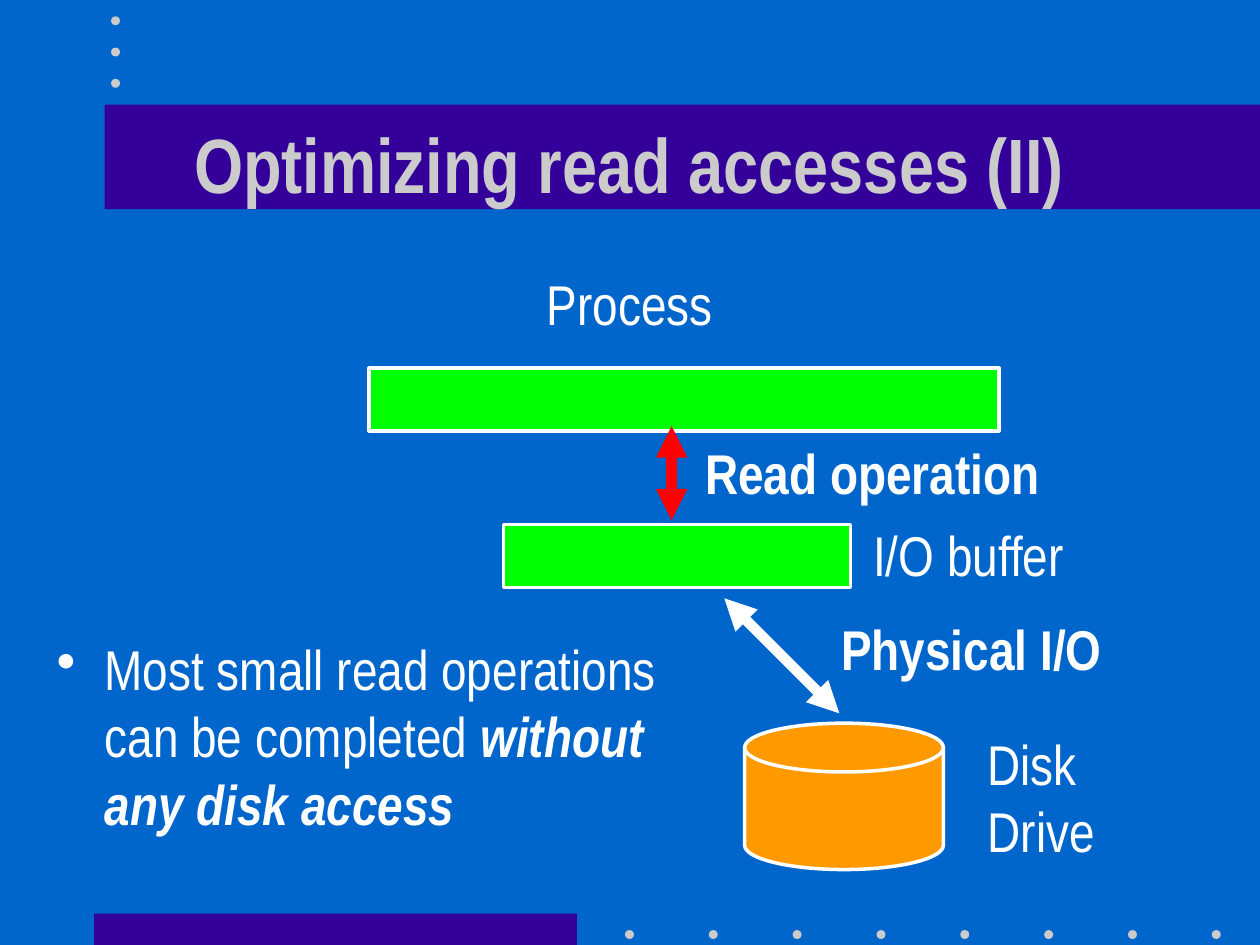
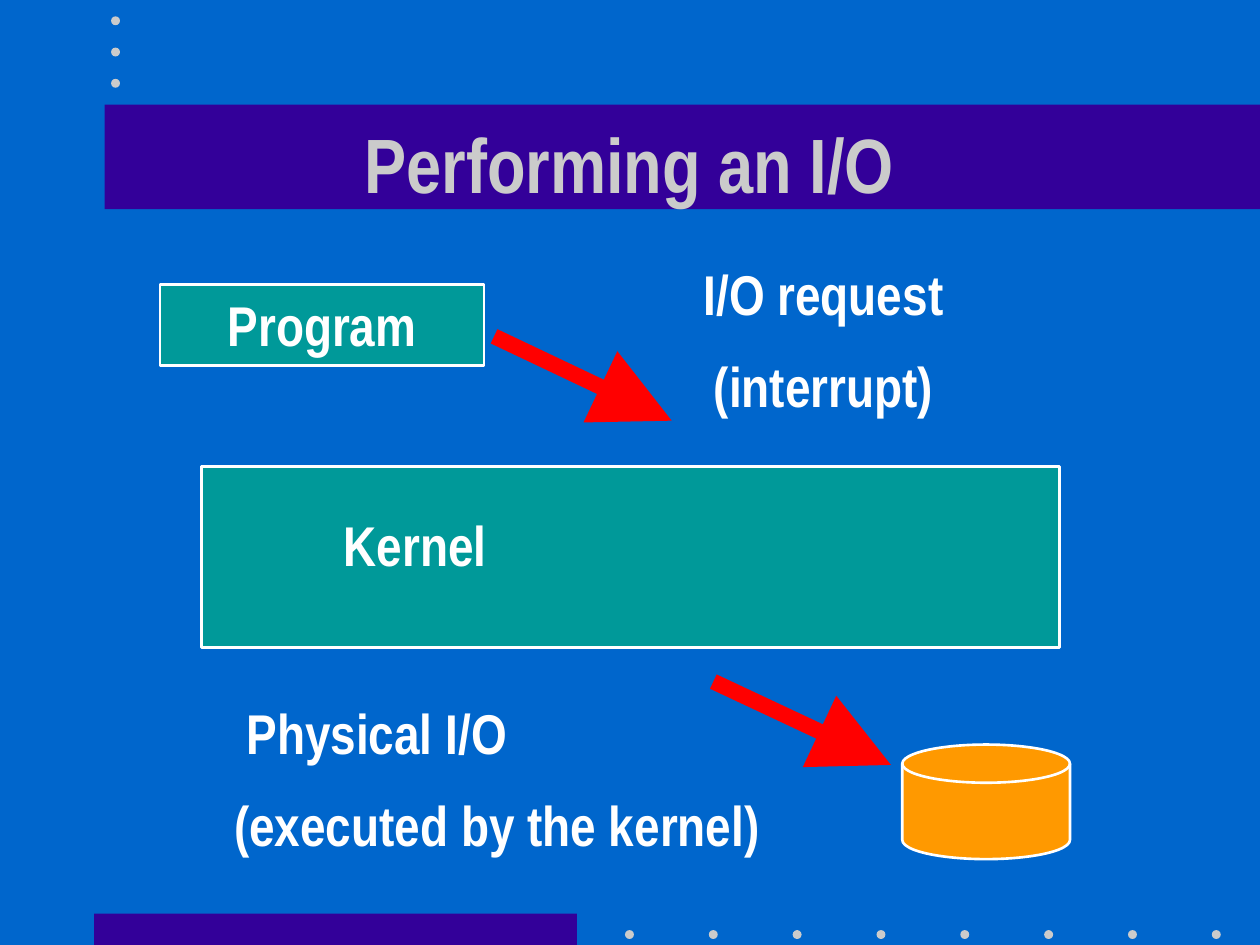
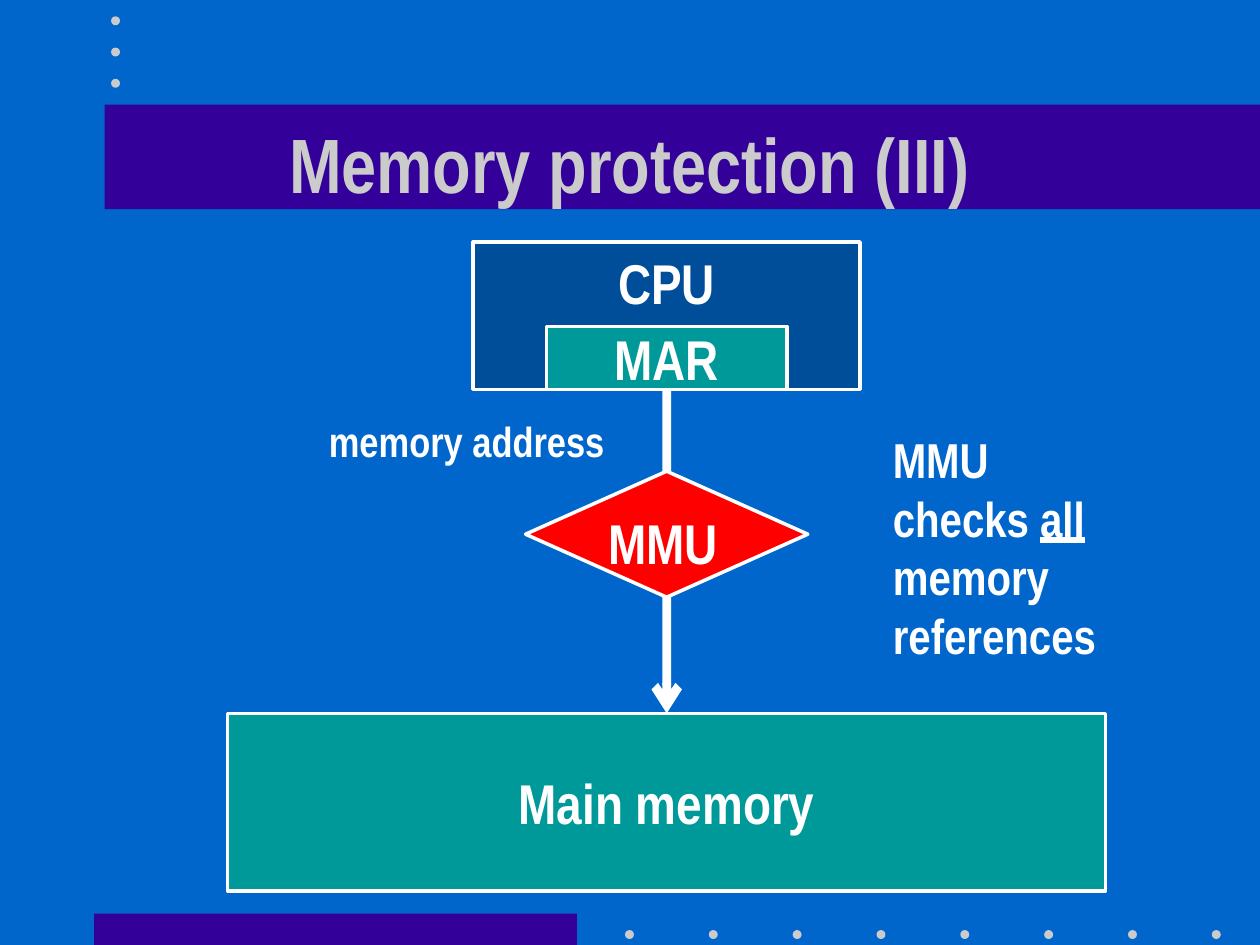
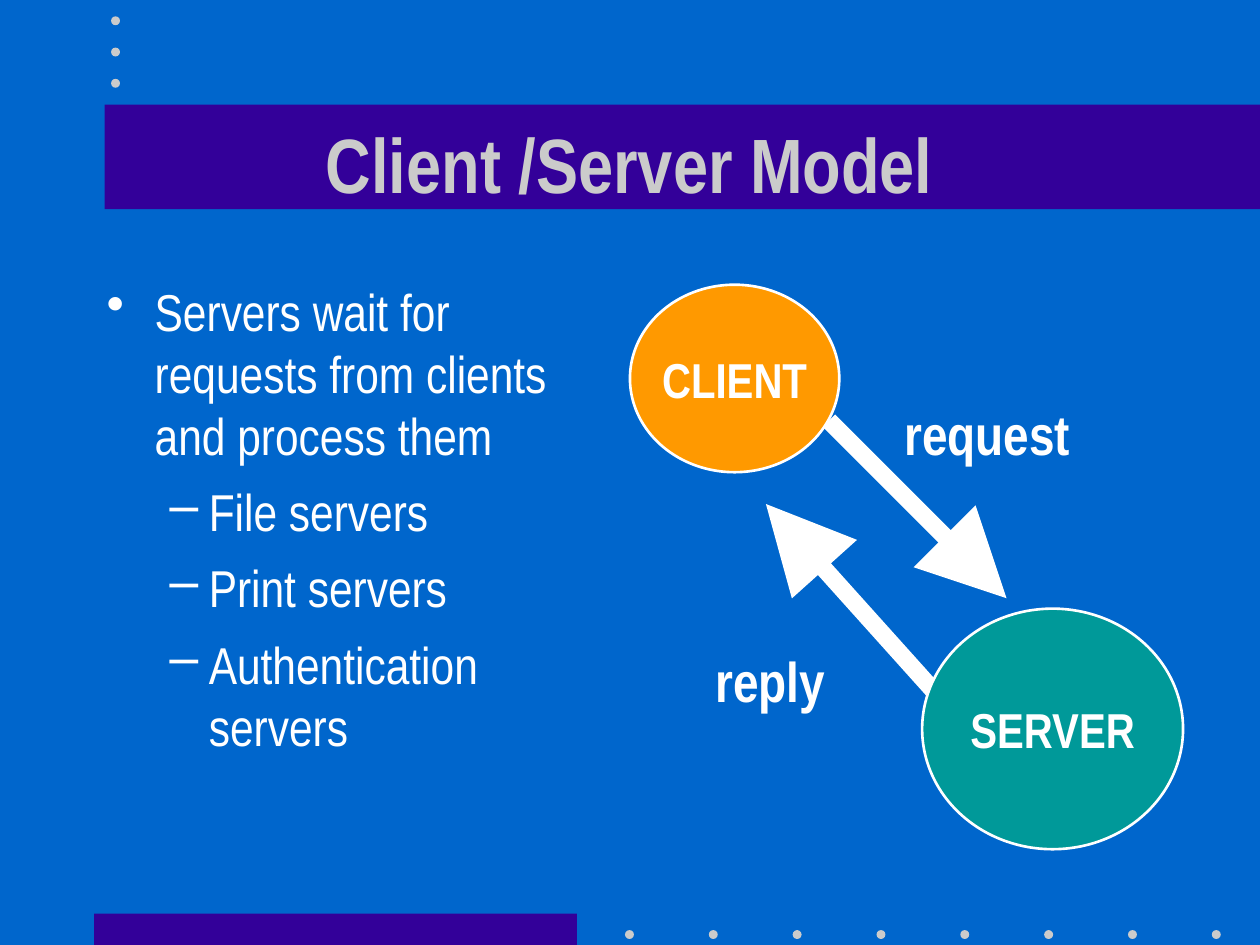
from lxml.etree import SubElement
from pptx import Presentation
from pptx.dml.color import RGBColor
from pptx.enum.shapes import MSO_CONNECTOR as Link, MSO_SHAPE as Kind
from pptx.enum.text import MSO_ANCHOR as Anchor, MSO_AUTO_SIZE as Fit, PP_ALIGN as Align
from pptx.oxml.ns import qn
from pptx.util import Cm, Pt

BLUE = RGBColor(0x00, 0x66, 0xCC)
NAVY = RGBColor(0x00, 0x4D, 0x99)
PURPLE = RGBColor(0x33, 0x00, 0x99)
GREY = RGBColor(0xCB, 0xCB, 0xCB)
WHITE = RGBColor(0xFF, 0xFF, 0xFF)
GREEN = RGBColor(0x00, 0xFF, 0x00)
TEAL = RGBColor(0x00, 0x99, 0x99)
ORANGE = RGBColor(0xFF, 0x99, 0x00)
RED = RGBColor(0xFF, 0x00, 0x00)

FONT = "Arial Narrow"
WIDE, HIGH = 25.4, 19.05
ROW = 1.63  # height of a one-line label
MID = 13.44  # axis of the memory diagram
BULLETS = {"•": (0, 0.97, -0.97), "–": (1, 2.06, -0.79)}  # level, margin, indent
BOLD = dict(bold=True)
HEAD = dict(bold=True, align=Align.CENTER)
NAME = dict(HEAD, anchor=Anchor.MIDDLE)
ROUND = dict(NAME, size=28, wrap=False)
PAIR = dict(line=0.85, before=20)


def mid(top, wide, high):
    """Place a part on the axis of the memory diagram."""
    return MID - wide / 2, top, wide, high


# Parts in cm, from back to front:
#   shape: ("shape", kind, place, fill, outline, lines, format)
#   label: ("label", place, lines, format)
#   arrow: ("arrow", ends, colour, width, options)
# A line is a string or a list of (string, style letters) runs.
READ = [
    ("shape", Kind.RECTANGLE, (7.44, 7.42, 12.7, 1.27), GREEN, 1.75, [], {}),
    ("label", (9.22, 5.31, 6.96, ROW), ["Process"], dict(align=Align.CENTER)),
    ("shape", Kind.RECTANGLE, (10.16, 10.57, 6.99, 1.27), GREEN, 1.75, [], {}),
    ("label", (17.35, 10.36, 5.28, ROW), ["I/O buffer"], {}),
    ("label", (19.66, 14.58, 2.67, 2.97), ["Disk", "Drive"], {}),
    ("arrow", (13.54, 8.59, 13.54, 10.49), RED, 6, dict(both=True)),
    ("arrow", (14.6, 12.06, 16.92, 14.38), WHITE, 6, dict(both=True)),
    ("label", (13.97, 8.71, 7.59, ROW), ["Read operation"], BOLD),
    ("label", (16.71, 12.27, 6.12, ROW), ["Physical I/O"], BOLD),
    ("label", (0.89, 12.67, 13.49, 4.32),
     [[("Most small read operations can be completed ", ""),
       ("without any disk access", "bi")]], dict(marks="•")),
    ("shape", Kind.FLOWCHART_MAGNETIC_DISK, (15.01, 14.58, 4.01, 2.95), ORANGE, 2, [], {}),
]
PERFORM = [
    ("shape", Kind.RECTANGLE, (3.23, 5.74, 6.53, ROW), TEAL, 1.5, ["Program"], HEAD),
    ("shape", Kind.RECTANGLE, (4.06, 9.4, 17.3, 3.66), TEAL, 1.5, [], {}),
    ("shape", Kind.FLOWCHART_MAGNETIC_DISK, (18.19, 15.01, 3.38, 2.31), ORANGE, 1.5, [], {}),
    ("label", (5.11, 10.16, 6.53, ROW), ["Kernel"], HEAD),
    ("arrow", (9.96, 6.78, 13.54, 8.48), RED, 9, dict(size="lg")),
    ("label", (13.34, 5.31, 6.53, 3.28), ["I/O request", "(interrupt)"], dict(HEAD, **PAIR)),
    ("arrow", (14.38, 13.74, 17.96, 15.42), RED, 9, dict(size="lg")),
    ("label", (4.47, 14.17, 11.61, 3.28), ["Physical I/O", "(executed by the kernel)"],
     dict(BOLD, first=0.25, **PAIR)),
]
MEMORY = [
    ("shape", Kind.RECTANGLE, mid(14.38, 17.7, 3.58), TEAL, 2, ["Main memory"], NAME),
    ("shape", Kind.RECTANGLE, mid(4.88, 7.8, 2.97), NAVY, 2, ["CPU"], HEAD),
    ("shape", Kind.RECTANGLE, mid(6.58, 4.85, 1.27), TEAL, 2, ["MAR"], NAME),
    ("arrow", (MID, 7.85, MID, 14.38), WHITE, 5,
     dict(tip="arrow", join=("MAR", "Main memory"))),
    ("label", (6.38, 8.26, 6.32, 1.27), ["memory address"], dict(BOLD, size=24)),
    ("shape", Kind.FLOWCHART_DECISION, mid(9.5, 5.69, 2.54), RED, 2, ["MMU"], BOLD),
    ("label", (17.75, 8.53, 4.83, 5),
     [[("MMU\nchecks ", ""), ("all", "u")], "memory references"], dict(BOLD, size=28)),
]
CLIENT = [
    ("label", (1.9, 5.51, 9.96, 11.43),
     ["Servers wait for requests from clients and process them",
      "File servers", "Print servers", "Authentication servers"],
     dict(size=29.6, before=8, marks="•–––", fit=False)),
    ("arrow", (16.71, 8.48, 20.29, 12.06), WHITE, 10, dict(size="lg")),
    ("arrow", (19.23, 14.38, 15.44, 10.16), WHITE, 10, dict(size="lg")),
    ("shape", Kind.OVAL, (12.7, 5.74, 4.22, 3.78), ORANGE, 1.5, ["CLIENT"], ROUND),
    ("shape", Kind.OVAL, (18.59, 12.27, 5.26, 4.85), TEAL, 1.5, ["SERVER"], ROUND),
    ("label", (17.98, 7.92, 3.86, ROW), ["request"], dict(BOLD, wrap=False)),
    ("label", (14.17, 12.9, 2.72, ROW), ["reply"], dict(BOLD, wrap=False)),
]
SLIDES = [
    ("Optimizing read accesses (II)", READ),
    ("Performing an I/O", PERFORM),
    ("Memory protection (III)", MEMORY),
    ("Client /Server Model", CLIENT),
]


def cm(nums):
    return [Cm(n) for n in nums]


def bullet(para, mark):
    level, left, hang = BULLETS[mark]
    para.level = level
    props = para._p.get_or_add_pPr()
    props.set("marL", str(Cm(left)))
    props.set("indent", str(Cm(hang)))
    tint = SubElement(props, qn("a:buClr"))
    SubElement(tint, qn("a:srgbClr"), val=str(WHITE))
    SubElement(props, qn("a:buChar"), char=mark)


def write(shape, lines, size=32, bold=False, color=WHITE, align=Align.LEFT,
          anchor=Anchor.TOP, wrap=True, line=None, before=0, first=0, marks=""):
    frame = shape.text_frame
    frame.word_wrap = wrap
    frame.vertical_anchor = anchor
    for i, runs in enumerate(lines):
        para = frame.add_paragraph() if i else frame.paragraphs[0]
        if marks:
            bullet(para, marks[i])
        elif first and not i:
            para._p.get_or_add_pPr().set("indent", str(Cm(first)))
        para.alignment = align
        if line:
            para.line_spacing = line
        if i:
            para.space_before = Pt(before)
        for words, style in [(runs, "")] if isinstance(runs, str) else runs:
            for j, piece in enumerate(words.split("\n")):
                if j:
                    para.add_line_break()
                run = para.add_run()
                run.text = piece
                font = run.font
                font.name, font.size, font.color.rgb = FONT, Pt(size), color
                font.bold = bold or "b" in style
                font.italic = "i" in style
                font.underline = "u" in style


def draw(slide, kind, place, fill, edge=0, lines=(), form=None):
    shape = slide.shapes.add_shape(kind, *cm(place))
    shape.shadow.inherit = False
    shape.fill.solid()
    shape.fill.fore_color.rgb = fill
    if edge:
        shape.line.color.rgb = WHITE
        shape.line.width = Pt(edge)
    else:
        shape.line.fill.background()
    if lines:
        write(shape, lines, **form)
    return shape


def label(slide, place, lines, form):
    form = dict(form)
    box = slide.shapes.add_textbox(*cm(place))
    if form.pop("fit", True):
        box.text_frame.auto_size = Fit.SHAPE_TO_FIT_TEXT
    write(box, lines, **form)


def arrow(slide, ends, color, width, both=False, tip="triangle", size="med", join=None):
    link = slide.shapes.add_connector(Link.STRAIGHT, *cm(ends))
    link.line.color.rgb = color
    link.line.width = Pt(width)
    props = link._element.spPr
    for end in ["headEnd", "tailEnd"] if both else ["tailEnd"]:
        SubElement(props.find(qn("a:ln")), qn("a:" + end), type=tip, w=size, len=size)
    SubElement(props, qn("a:effectLst"))
    if join:
        link.begin_connect(join[0], 2)
        link.end_connect(join[1], 0)


def frame(slide, title):
    """Draw the bands, the dots and the title that all slides share."""
    draw(slide, Kind.RECTANGLE, (1.9, 18.42, 9.73, HIGH - 18.42), PURPLE)
    draw(slide, Kind.RECTANGLE, (2.11, 2.11, WIDE - 2.11, 2.11), PURPLE)
    dots = [(12.6 + 1.69 * i, 18.75) for i in range(8)]
    dots += [(2.24, 0.33 + 0.63 * i) for i in range(3)]
    for left, top in dots:
        draw(slide, Kind.OVAL, (left, top, 0.18, 0.18), GREY)
    label(slide, (1.9, 1.7, 21.59, 3.18), [title], dict(NAME, size=44, color=GREY, fit=False))


def main():
    prs = Presentation()
    prs.slide_width, prs.slide_height = Cm(WIDE), Cm(HIGH)
    back = prs.slide_master.background.fill
    back.solid()
    back.fore_color.rgb = BLUE
    for title, parts in SLIDES:
        slide = prs.slides.add_slide(prs.slide_layouts[6])
        frame(slide, title)
        named = {}
        for part, *args in parts:
            if part == "shape":
                shape = draw(slide, *args)
                named[shape.text_frame.text] = shape
            elif part == "label":
                label(slide, *args)
            else:
                *args, opts = args
                if "join" in opts:
                    opts = dict(opts, join=[named[key] for key in opts["join"]])
                arrow(slide, *args, **opts)
    prs.save("out.pptx")


if __name__ == "__main__":
    main()
